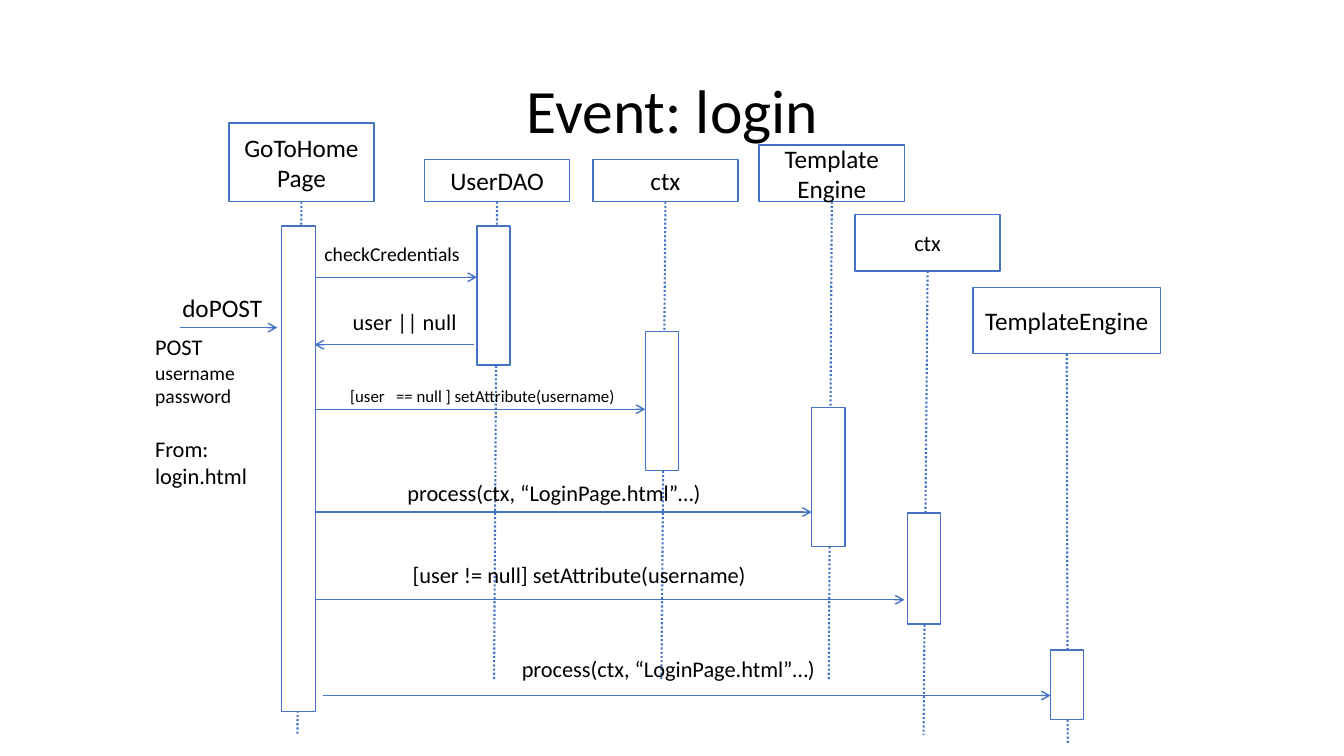
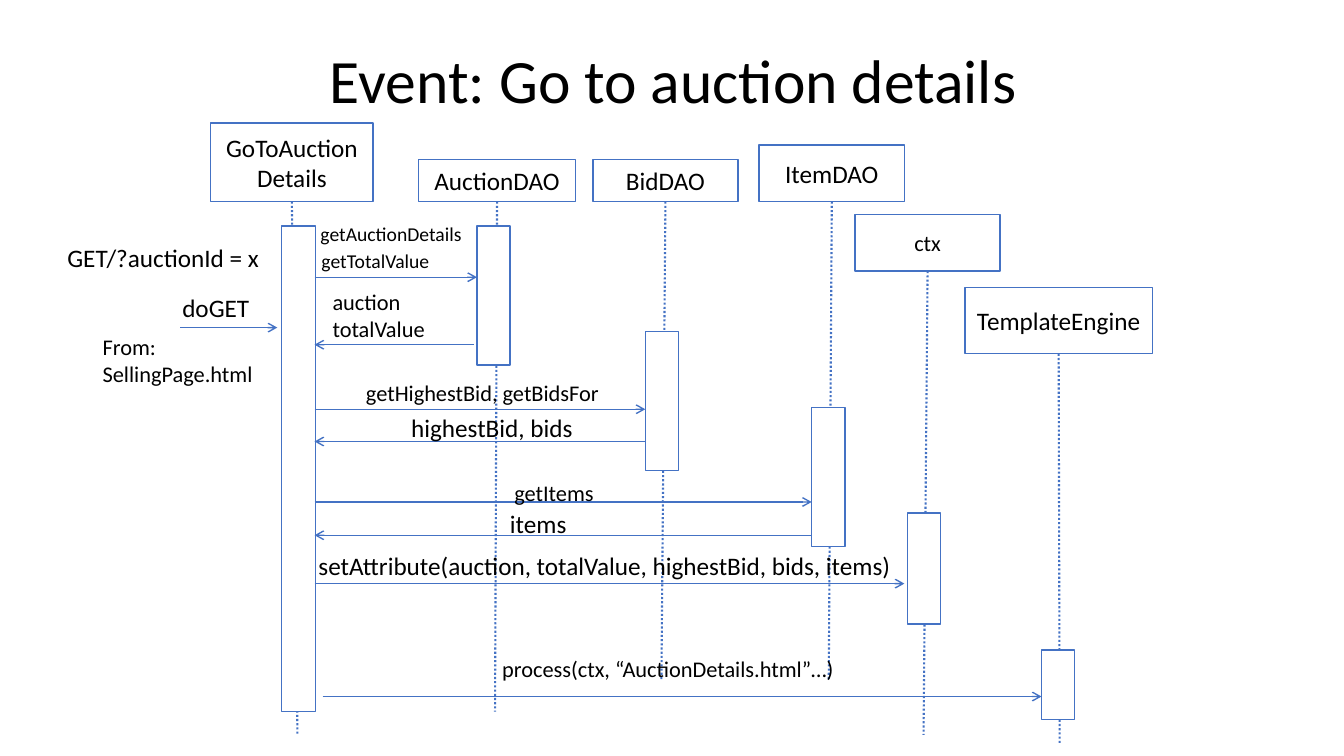
from dataclasses import dataclass, replace
from typing import NamedTuple

from lxml import etree
from pptx import Presentation
from pptx.dml.color import RGBColor
from pptx.enum.dml import MSO_LINE
from pptx.enum.shapes import MSO_CONNECTOR, MSO_SHAPE
from pptx.enum.text import MSO_ANCHOR, MSO_AUTO_SIZE, PP_ALIGN
from pptx.oxml.ns import qn
from pptx.util import Emu, Pt

PX = 9144  # 100 px to the inch
LEFT, CENTER = PP_ALIGN.LEFT, PP_ALIGN.CENTER
MIDDLE, TOP = MSO_ANCHOR.MIDDLE, MSO_ANCHOR.TOP
GROW = MSO_AUTO_SIZE.SHAPE_TO_FIT_TEXT
RECT, STRAIGHT = MSO_SHAPE.RECTANGLE, MSO_CONNECTOR.STRAIGHT
DOTTED = MSO_LINE.ROUND_DOT
BOTTOM_SIDE = 2


@dataclass(frozen=True)
class Theme:
    font: str = "Calibri"
    ink: RGBColor = RGBColor(0x00, 0x00, 0x00)
    paper: RGBColor = RGBColor(0xFF, 0xFF, 0xFF)
    accent: RGBColor = RGBColor(0x44, 0x72, 0xC4)
    title: int = 44
    large: int = 18
    body: int = 16
    small: int = 14
    tiny: int = 12
    thin: float = 1
    dotted: float = 1.5


THEME = Theme()


class Box(NamedTuple):
    x: int
    y: int
    w: int
    h: int


class Point(NamedTuple):
    x: int
    y: int


class Line(NamedTuple):
    text: str
    size: int
    before: float = 0


@dataclass(frozen=True)
class Lane:
    """A participant: head box, end of its lifeline and activation bar."""
    head: Box
    foot: Point
    bar: Box
    label: str = ""
    size: int = THEME.large


class Arrow(NamedTuple):
    x1: int
    x2: int
    y: int


@dataclass(frozen=True)
class Note:
    box: Box
    lines: tuple[Line, ...]
    align: PP_ALIGN = LEFT
    wrap: bool = False


@dataclass(frozen=True)
class Diagram:
    title: str
    title_box: Box
    lanes: tuple[Lane, ...]
    arrows: tuple[Arrow, ...]
    notes: tuple[Note, ...]


def emu(*lengths: int) -> list[Emu]:
    return [Emu(n * PX) for n in lengths]


def write(tf, lines: tuple[Line, ...], align: PP_ALIGN, spacing: float | None = None) -> None:
    for i, line in enumerate(lines):
        p = tf.paragraphs[0] if i == 0 else tf.add_paragraph()
        p.alignment = align
        if spacing:
            p.line_spacing = spacing
        if line.before:
            p.space_before = Pt(line.before)
        r = p.add_run()
        r.text = line.text
        r.font.name = THEME.font
        r.font.size = Pt(line.size)
        r.font.color.rgb = THEME.ink


def add_rect(s, box: Box, label: str = "", size: int = THEME.large):
    sp = s.shapes.add_shape(RECT, *emu(*box))
    sp.shadow.inherit = False
    sp.fill.solid()
    sp.fill.fore_color.rgb = THEME.paper
    sp.line.color.rgb = THEME.accent
    sp.line.width = Pt(THEME.thin)
    if label:
        sp.text_frame.word_wrap = True
        sp.text_frame.vertical_anchor = MIDDLE
        write(sp.text_frame, (Line(label, size),), CENTER)
    return sp


def add_line(s, start: Point, end: Point, width: float):
    cx = s.shapes.add_connector(STRAIGHT, *emu(*start, *end))
    cx.line.color.rgb = THEME.accent
    cx.line.width = Pt(width)
    etree.SubElement(cx._element.spPr, qn("a:effectLst"))
    return cx


def add_arrow(s, arrow: Arrow) -> None:
    cx = add_line(s, Point(arrow.x1, arrow.y), Point(arrow.x2, arrow.y), THEME.thin)
    etree.SubElement(cx.line._get_or_add_ln(), qn("a:tailEnd"), type="arrow")


def add_lane(s, lane: Lane) -> None:
    head = add_rect(s, lane.head, lane.label, lane.size)
    x, y, w, h = lane.head
    life = add_line(s, Point(x + w // 2, y + h), lane.foot, THEME.dotted)
    life.line.dash_style = DOTTED
    life.begin_connect(head, BOTTOM_SIDE)
    add_rect(s, lane.bar)


def add_text(s, note: Note, anchor: MSO_ANCHOR = TOP, spacing: float | None = None):
    tf = s.shapes.add_textbox(*emu(*note.box)).text_frame
    tf.word_wrap = note.wrap
    tf.vertical_anchor = anchor
    write(tf, note.lines, note.align, spacing)
    return tf


def add_diagram(prs, diagram: Diagram) -> None:
    s = prs.slides.add_slide(prs.slide_layouts[6])
    title = Note(diagram.title_box, (Line(diagram.title, THEME.title),), CENTER, True)
    add_text(s, title, MIDDLE, 0.9)
    for lane in diagram.lanes:
        add_lane(s, lane)
    for arrow in SHARED_ARROWS + diagram.arrows:
        add_arrow(s, arrow)
    for note in diagram.notes:
        add_text(s, note).auto_size = GROW


def note(x: int, y: int, w: int, h: int, text: str, size: int = THEME.body,
         align: PP_ALIGN = LEFT, wrap: bool = False) -> Note:
    """A note whose lines all have one size."""
    lines = tuple(Line(t, size) for t in text.split("\n"))
    return Note(Box(x, y, w, h), lines, align, wrap)


CONTROLLER = Lane(Box(227, 122, 144, 78), Point(295, 729), Box(279, 224, 34, 482))
FIRST = Lane(Box(421, 158, 144, 42), Point(490, 675), Box(473, 224, 33, 138))
SECOND = Lane(Box(588, 158, 144, 42), Point(656, 675), Box(640, 329, 33, 138))
THIRD = Lane(Box(753, 144, 144, 56), Point(822, 675), Box(805, 404, 33, 138))
CONTEXT = Lane(Box(848, 213, 144, 56), Point(916, 729), Box(900, 509, 33, 110),
               "ctx", THEME.body)
ENGINE = Lane(Box(965, 285, 186, 66), Point(1059, 739), Box(1042, 645, 33, 69),
              "TemplateEngine")

CALLER = 312  # right side of the controller's bar
SHARED_ARROWS = (
    Arrow(179, 275, 325),
    Arrow(CALLER, FIRST.bar.x, 275),
    Arrow(470, CALLER, 342),
    Arrow(CALLER, SECOND.bar.x, 406),
)

LOGIN = Diagram(
    "Event: login",
    Box(92, 40, 1150, 145),
    (
        replace(CONTROLLER, label="GoToHomePage"),
        replace(FIRST, label="UserDAO"),
        replace(SECOND, label="ctx"),
        replace(THIRD, label="Template Engine"),
        CONTEXT,
        ENGINE,
    ),
    (
        Arrow(CALLER, THIRD.bar.x, 508),
        Arrow(CALLER, 897, 595),
        Arrow(320, ENGINE.bar.x, 690),
    ),
    (
        note(171, 285, 100, 40, "doPOST", THEME.large),
        note(312, 235, 156, 34, "checkCredentials", THEME.small),
        note(340, 301, 124, 37, "user || null"),
        note(337, 470, 425, 37, "process(ctx, “LoginPage.html”…)", align=CENTER, wrap=True),
        Note(Box(144, 326, 134, 165), (
            Line("POST", THEME.body),
            Line("username", THEME.small),
            Line("password", THEME.small),
            Line("From: login.html", THEME.body, before=19.5),
        ), wrap=True),
        note(397, 552, 355, 37, "[user != null] setAttribute(username)", align=CENTER),
        note(506, 645, 314, 37, "process(ctx, “LoginPage.html”…)", align=CENTER),
        note(254, 378, 449, 30, "[user   == null ] setAttribute(username)", THEME.tiny,
             CENTER, True),
    ),
)

AUCTION_ENGINE = replace(ENGINE, head=Box(957, 285, 186, 66), foot=Point(1051, 738),
                         bar=Box(1033, 645, 33, 69))
AUCTION = Diagram(
    "Event: Go to auction details",
    Box(93, 10, 1150, 145),
    (
        replace(CONTROLLER, label="GoToAuctionDetails", head=Box(209, 122, 161, 78)),
        replace(FIRST, label="AuctionDAO", head=Box(415, 158, 156, 42), foot=Point(491, 706)),
        replace(SECOND, label="BidDAO"),
        replace(THIRD, label="ItemDAO"),
        CONTEXT,
        AUCTION_ENGINE,
    ),
    (
        Arrow(SECOND.bar.x, CALLER, 438),
        Arrow(CALLER, THIRD.bar.x, 498),
        Arrow(THIRD.bar.x, CALLER, 531),
        Arrow(CALLER, 897, 579),
        Arrow(320, AUCTION_ENGINE.bar.x, 691),
    ),
    (
        note(171, 285, 87, 40, "doGET", THEME.large),
        note(308, 215, 162, 34, "getAuctionDetails", THEME.small),
        note(309, 242, 129, 34, "getTotalValue", THEME.small),
        note(320, 281, 113, 64, "auction\ntotalValue"),
        note(254, 371, 449, 37, "getHighestBid, getBidsFor", align=CENTER, wrap=True),
        note(398, 404, 667, 40, "highestBid, bids", THEME.large, wrap=True),
        note(337, 470, 425, 37, "getItems", align=CENTER, wrap=True),
        note(496, 499, 667, 40, "items", THEME.large, wrap=True),
        note(306, 541, 667, 40, "setAttribute(auction, totalValue, highestBid, bids, items)",
             THEME.large, wrap=True),
        note(486, 645, 353, 37, "process(ctx, “AuctionDetails.html”…)", align=CENTER),
        note(92, 326, 187, 64, "From: SellingPage.html", wrap=True),
        note(57, 235, 213, 40, "GET/?auctionId = x", THEME.large),
    ),
)


def main() -> None:
    prs = Presentation()
    prs.slide_width, prs.slide_height = emu(1333, 750)
    for diagram in (LOGIN, AUCTION):
        add_diagram(prs, diagram)
    prs.save("out.pptx")


if __name__ == "__main__":
    main()
